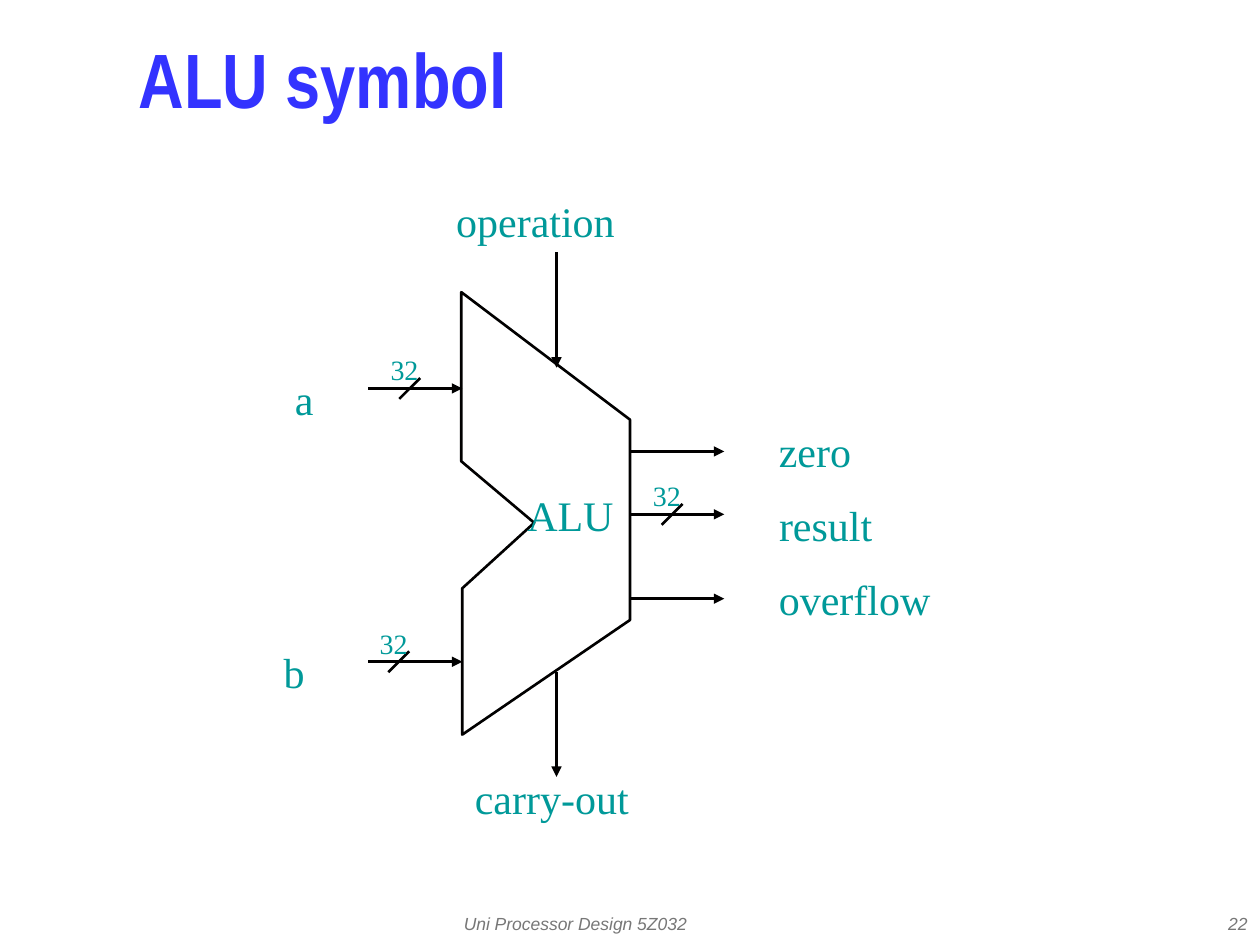
from lxml import etree
from pptx import Presentation
from pptx.dml.color import RGBColor
from pptx.enum.shapes import MSO_CONNECTOR
from pptx.enum.text import MSO_ANCHOR, MSO_AUTO_SIZE, PP_ALIGN
from pptx.oxml.ns import qn
from pptx.util import Cm, Pt

STRAIGHT = MSO_CONNECTOR.STRAIGHT
MIDDLE = MSO_ANCHOR.MIDDLE
NO_FIT, GROW = MSO_AUTO_SIZE.NONE, MSO_AUTO_SIZE.SHAPE_TO_FIT_TEXT
LEFT, CENTER, RIGHT = PP_ALIGN.LEFT, PP_ALIGN.CENTER, PP_ALIGN.RIGHT
BLACK, BLUE, TEAL, GREY = "010000", "3333FF", "009999", "777777"
LABEL_H = 1.27
SLASH = 0.42


def rgb(value):
    return RGBColor.from_string(value)


def fill_text(tf, text, font, size, color, align):
    tf.text = text
    tf.vertical_anchor = MIDDLE
    p = tf.paragraphs[0]
    p.alignment = align
    r = p.runs[0]
    r.font.name, r.font.size = font, Pt(size)
    r.font.color.rgb = rgb(color)
    return p


def add_label(s, text, x, y, w, h=LABEL_H, size=24):
    tf = s.shapes.add_textbox(Cm(x), Cm(y), Cm(w), Cm(h)).text_frame
    tf.word_wrap = False
    tf.auto_size = GROW
    fill_text(tf, text, "Times New Roman", size, TEAL, CENTER)


def add_line(s, x1, y1, x2, y2, arrow=False):
    c = s.shapes.add_connector(STRAIGHT, Cm(x1), Cm(y1), Cm(x2), Cm(y2))
    c.line.color.rgb = rgb(BLACK)
    c.line.width = Pt(1.5)
    if arrow:
        etree.SubElement(c.line._get_or_add_ln(), qn("a:tailEnd"), type="triangle")
    etree.SubElement(c._element.spPr, qn("a:effectLst"))


def add_bus_mark(s, x, y):
    half = SLASH / 2
    add_line(s, x + half, y - half, x - half, y + half)
    add_label(s, "32", x - 0.64, y - 0.85, 1.07, 0.94, 16)


def add_title(s, x, y, w, h):
    sp = s.shapes.title
    sp.left, sp.top, sp.width, sp.height = Cm(x), Cm(y), Cm(w), Cm(h)
    p = fill_text(sp.text_frame, "ALU symbol", "Arial Narrow", 44, BLUE, LEFT)
    sp.text_frame.auto_size = NO_FIT
    p.line_spacing = 0.7
    p.runs[0].font.bold = True


def add_alu_body(s, x, y):
    corners = [(0, 0), (3.4, 2.57), (3.4, 6.61), (0.02, 8.92),
               (0.02, 5.97), (1.47, 4.65), (0, 3.41)]
    points = [(Cm(x + dx), Cm(y + dy)) for dx, dy in corners]
    fb = s.shapes.build_freeform(*points[0], scale=1.0)
    fb.add_line_segments(points[1:], close=True)
    sp = fb.convert_to_shape()
    sp.shadow.inherit = False
    sp.fill.background()
    sp.line.color.rgb = rgb(BLACK)
    sp.line.width = Pt(1.5)


def add_diagram(s, x, y):
    add_alu_body(s, x + 4.22, y + 2.08)

    labels = [("ALU", 5.29, 5.93, 2.26), ("zero", 10.37, 4.65, 1.96),
              ("result", 10.37, 6.14, 2.39), ("overflow", 10.37, 7.62, 3.56),
              ("operation", 3.86, 0, 3.71), ("a", 0.61, 3.6, 0.89),
              ("b", 0.38, 9.1, 0.94), ("carry-out", 4.24, 11.64, 3.61)]
    for text, dx, dy, w in labels:
        add_label(s, text, x + dx, y + dy, w)

    inputs = [(2.34, dy) for dy in (4.02, 9.53)]
    outputs = [(7.62, dy) for dy in (5.29, 6.56, 8.26)]
    for dx, dy in inputs + outputs:
        add_line(s, x + dx, y + dy, x + dx + 1.9, y + dy, arrow=True)
    for top, bottom in [(1.27, 3.6), (9.74, 11.85)]:
        add_line(s, x + 6.14, y + top, x + 6.14, y + bottom, arrow=True)

    for dx, dy in [(3.18, 4.02), (2.96, 9.53), (8.47, 6.56)]:
        add_bus_mark(s, x + dx, y + dy)


def add_footer(s, x, y, w, h):
    parts = [("Uni Processor Design 5Z032", 0, 8.05, LEFT),
             ("22", w - 5.28, 5.28, RIGHT)]
    for text, dx, part_w, align in parts:
        sp = s.shapes.add_textbox(Cm(x + dx), Cm(y), Cm(part_w), Cm(h))
        tf = sp.text_frame
        tf.word_wrap = False
        p = fill_text(tf, text, "Arial", 10, GREY, align)
        p.runs[0].font.italic = True


def main():
    prs = Presentation()
    prs.slide_width, prs.slide_height = Cm(25.4), Cm(19.05)
    s = prs.slides.add_slide(prs.slide_layouts[5])
    add_footer(s, 9.1, 18.2, 16.3, 0.85)
    add_title(s, 2.54, 0.42, 21.8, 2.75)
    add_diagram(s, 5.08, 3.81)
    prs.save("out.pptx")


if __name__ == "__main__":
    main()
